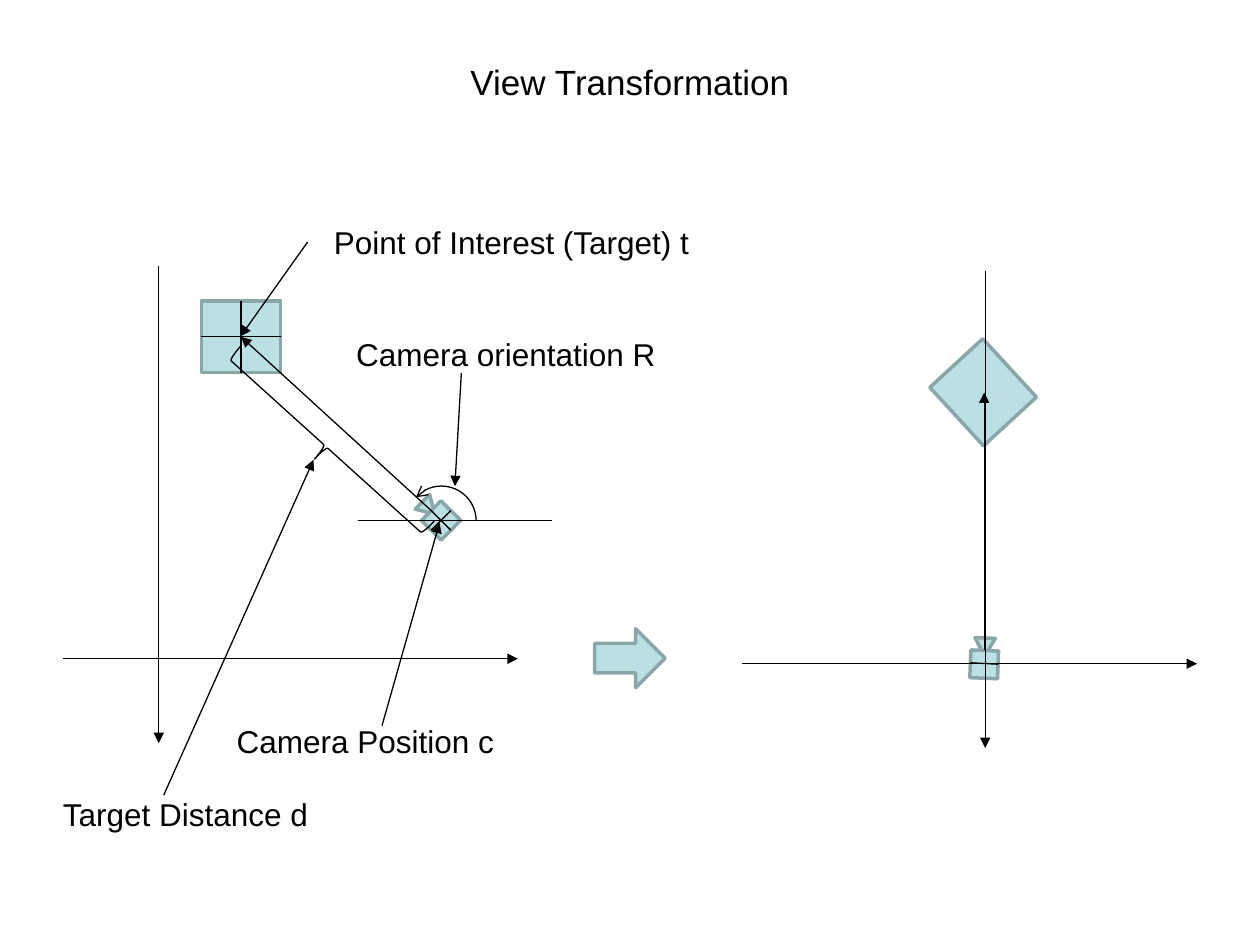
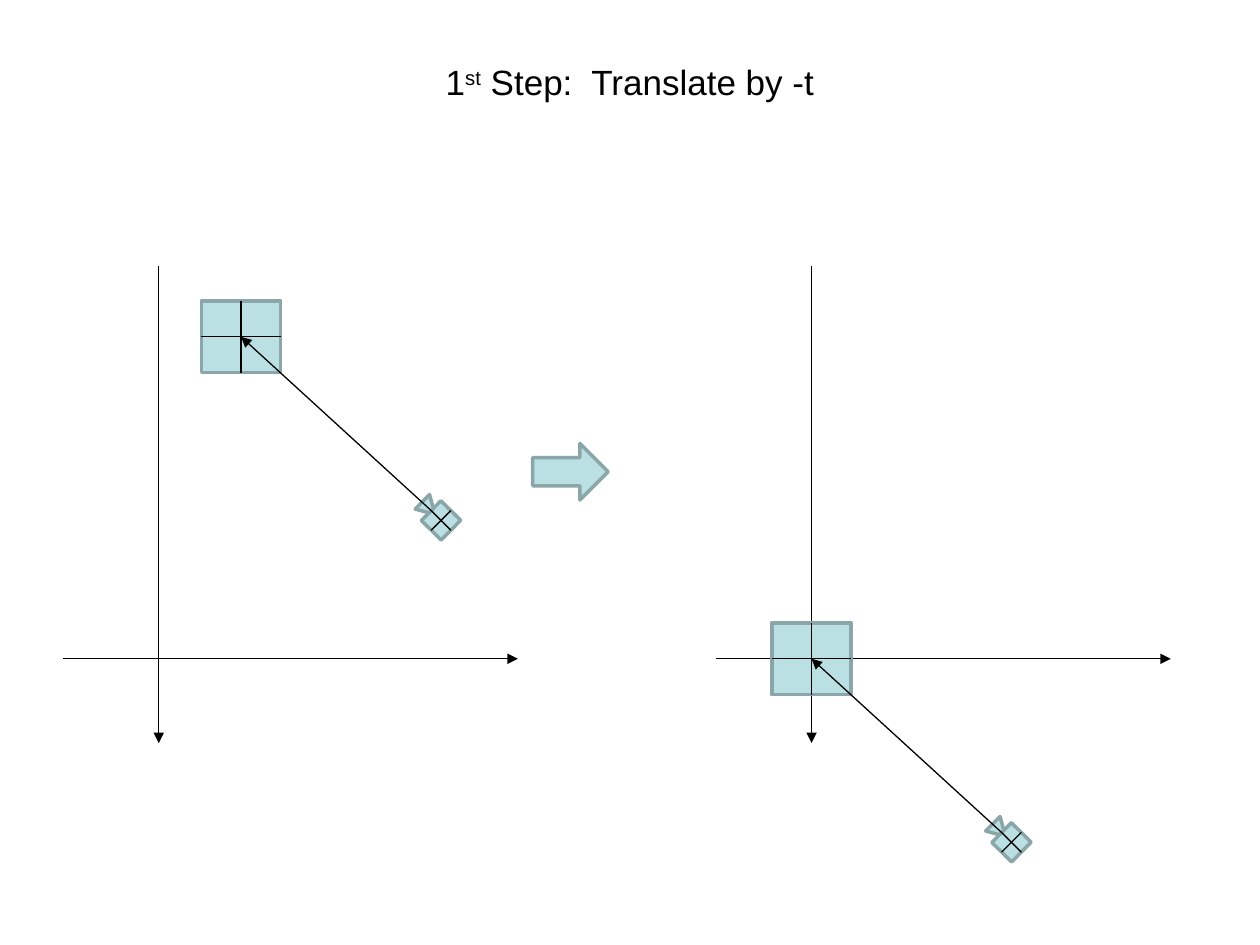
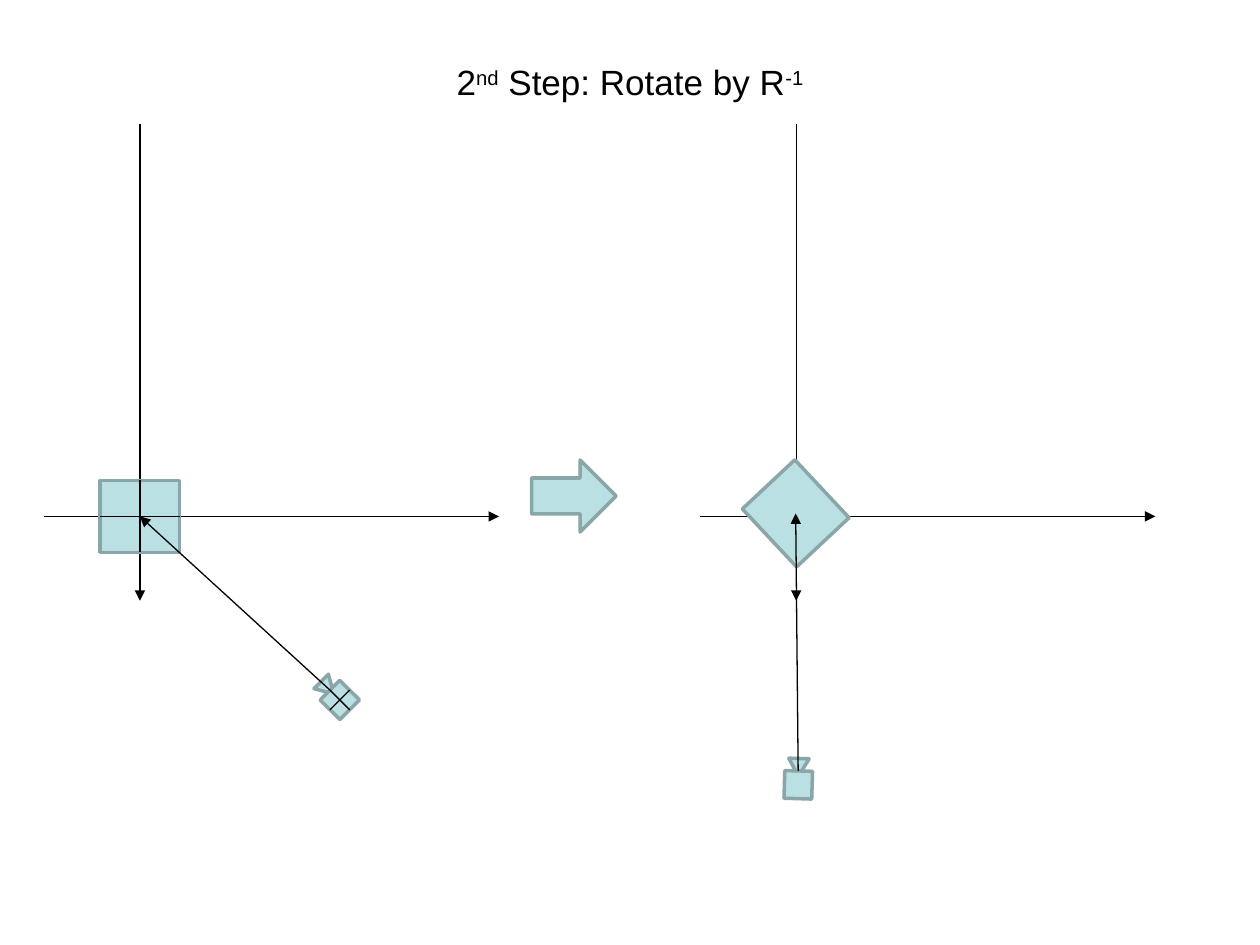
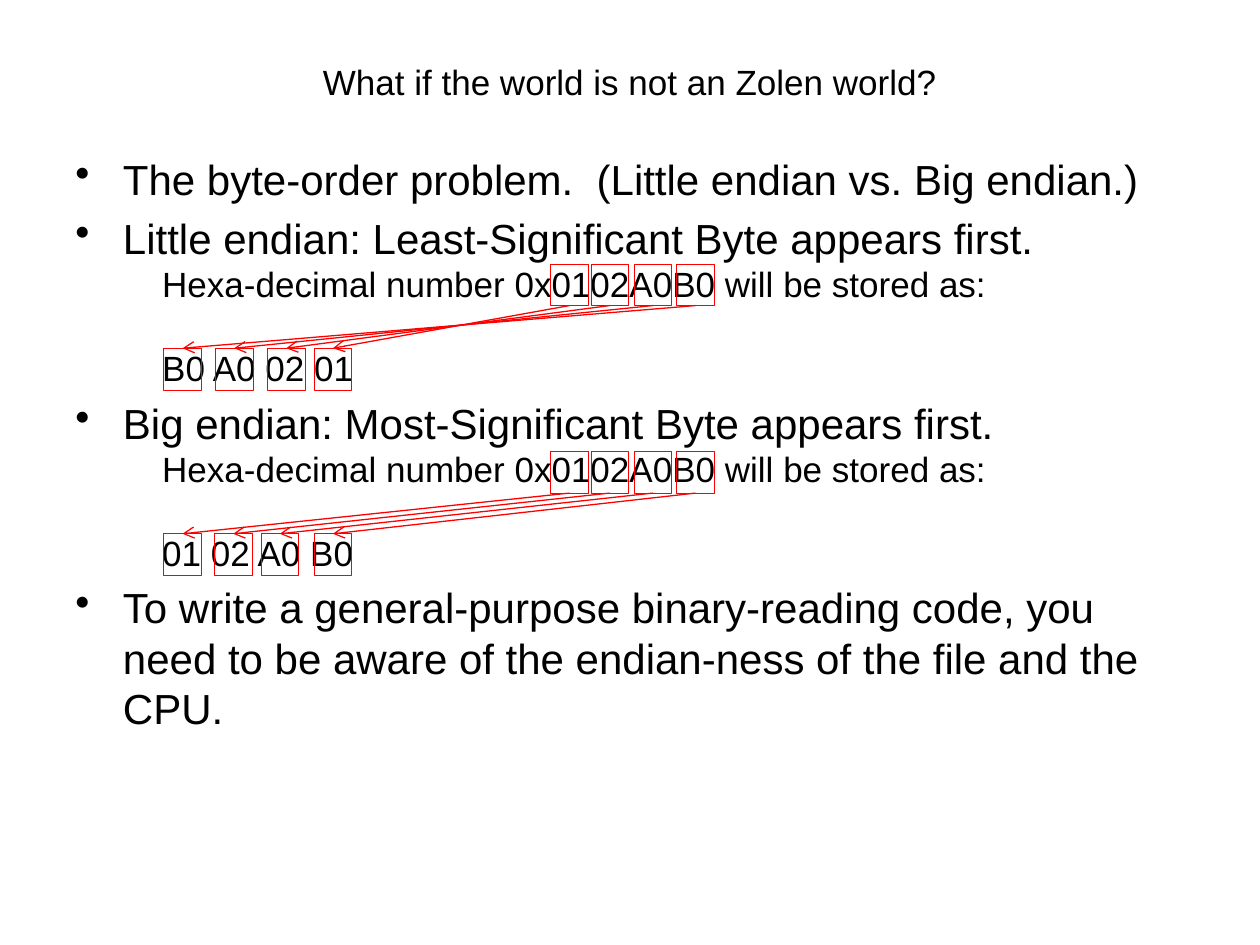
from dataclasses import dataclass
from math import cos, radians, sin

from lxml.etree import SubElement
from pptx import Presentation
from pptx.dml.color import RGBColor
from pptx.enum.shapes import MSO_CONNECTOR, MSO_SHAPE
from pptx.enum.text import MSO_ANCHOR, PP_ALIGN
from pptx.oxml.ns import qn
from pptx.util import Cm, Pt

COLORS = {"text": "000000", "line": "000000", "fill": "BBE0E3", "edge": "8AA6A8", "byte": "FF0000"}
FONT = "Arial"
TARGET_SIZE = (1.6, 1.45)
CAMERA_TILT = 134.8
CONE_DISTANCE = 0.35
AXIS_LEFT, AXIS_WIDTH = 1.93, 9.17
AXIS_UP, AXIS_DOWN = 7.92, 1.7
BYTE_WIDTH, BYTE_HEIGHT = 0.76, 0.84


@dataclass(frozen=True)
class Point:
    x: float
    y: float

    def shift(self, dx: float, dy: float) -> "Point":
        return Point(self.x + dx, self.y + dy)


@dataclass(frozen=True)
class Callout:
    text: str
    corner: Point
    width: float
    start: Point
    end: Point


@dataclass(frozen=True)
class BodyLine:
    text: str
    bullet: bool = True
    before: float = 4.8


@dataclass(frozen=True)
class ByteOrder:
    source_top: float
    stored_top: float
    stored: tuple[float, ...]


CALLOUTS = [
    Callout("Point of Interest (Target) t", Point(6.48, 4.37), 7.75, Point(6.2, 4.88), Point(4.85, 6.78)),
    Callout("Camera Position c", Point(4.52, 14.43), 5.74, Point(7.7, 14.63), Point(8.86, 10.54)),
    Callout("Camera orientation R", Point(6.93, 6.63), 6.6, Point(9.3, 7.52), Point(9.17, 9.8)),
    Callout("Target Distance d", Point(1.02, 15.9), 5.51, Point(3.3, 16.03), Point(6.32, 9.27)),
]

HEX_LINE = BodyLine("Hexa-decimal number 0x0102A0B0 will be stored as:", False, 0)
BODY = [
    BodyLine("The byte-order problem.  (Little endian vs. Big endian.)"),
    BodyLine("Little endian: Least-Significant Byte appears first."),
    HEX_LINE,
    BodyLine("B0 A0 02 01", False, 24),
    BodyLine("Big endian: Most-Significant Byte appears first."),
    HEX_LINE,
    BodyLine("01 02 A0 B0", False, 24),
    BodyLine("To write a general-purpose binary-reading code, you need to be aware "
             "of the endian-ness of the file and the CPU."),
]

SOURCE_BYTES = (11.48, 12.29, 13.16, 14.02)
BYTE_ORDERS = [
    ByteOrder(5.32, 7.02, (6.71, 5.77, 4.72, 3.68)),
    ByteOrder(9.1, 10.76, (3.68, 4.7, 5.64, 6.71)),
]


def rgb(name: str) -> RGBColor:
    return RGBColor.from_string(COLORS[name])


def format_run(r, size: float) -> None:
    r.font.name = FONT
    r.font.size = Pt(size)
    r.font.color.rgb = rgb("text")


def add_arrowheads(sp, head: str, tail: str) -> None:
    ln = sp.element.spPr.find(qn("a:ln"))
    for tag, kind in (("a:headEnd", head), ("a:tailEnd", tail)):
        if kind:
            SubElement(ln, qn(tag)).set("type", kind)


def add_line(shapes, start: Point, end: Point, head: str = "", tail: str = "", color: str = "line") -> None:
    line = shapes.add_connector(MSO_CONNECTOR.STRAIGHT, Cm(start.x), Cm(start.y), Cm(end.x), Cm(end.y))
    line.line.color.rgb = rgb(color)
    line.line.width = Pt(0.75)
    add_arrowheads(line, head, tail)
    SubElement(line.element.spPr, qn("a:effectLst"))


def add_figure(shapes, kind, center: Point, width: float, height: float, rotation: float = 0,
               fill: str = "fill", edge: str = "edge", weight: float = 2):
    sp = shapes.add_shape(kind, Cm(center.x - width / 2), Cm(center.y - height / 2), Cm(width), Cm(height))
    sp.rotation = rotation
    sp.shadow.inherit = False
    if fill:
        sp.fill.solid()
        sp.fill.fore_color.rgb = rgb(fill)
    else:
        sp.fill.background()
    sp.line.color.rgb = rgb(edge)
    sp.line.width = Pt(weight)
    return sp


def add_title(prs, parts: list[str]):
    slide = prs.slides.add_slide(prs.slide_layouts[6])
    box = slide.shapes.add_textbox(Cm(1.27), Cm(0.76), Cm(22.86), Cm(1.78))
    tf = box.text_frame
    tf.word_wrap = True
    tf.vertical_anchor = MSO_ANCHOR.MIDDLE
    p = tf.paragraphs[0]
    p.alignment = PP_ALIGN.CENTER
    for i, part in enumerate(parts):
        r = p.add_run()
        r.text = part
        format_run(r, 20)
        if i % 2:
            r.font._element.set("baseline", "30000")
    return slide


def add_axes(shapes, origin: Point, left: float = AXIS_LEFT) -> None:
    start = origin.shift(-left, 0)
    add_line(shapes, start, start.shift(AXIS_WIDTH, 0), tail="triangle")
    add_line(shapes, origin.shift(0, AXIS_DOWN), origin.shift(0, -AXIS_UP), head="triangle")


def add_target(shapes, center: Point, rotation: float = 0) -> None:
    add_figure(shapes, MSO_SHAPE.RECTANGLE, center, *TARGET_SIZE, rotation)


def add_camera(shapes, center: Point, rotation: float) -> None:
    angle = radians(rotation)
    cone = center.shift(-CONE_DISTANCE * sin(angle), CONE_DISTANCE * cos(angle))
    camera = shapes.add_group_shape().shapes
    add_figure(camera, MSO_SHAPE.ISOSCELES_TRIANGLE, cone, 0.41, 0.36, rotation)
    add_figure(camera, MSO_SHAPE.RECTANGLE, center, 0.56, 0.56, rotation)


def add_world_view(shapes, origin: Point, target: Point) -> None:
    add_axes(shapes, origin)
    add_target(shapes, target)
    camera = target.shift(4.03, 3.7)
    add_camera(shapes, camera, CAMERA_TILT)
    half_width, half_height = (size / 2 for size in TARGET_SIZE)
    add_line(shapes, target.shift(-half_width, 0), target.shift(half_width, 0))
    add_line(shapes, target.shift(0, -half_height), target.shift(0, half_height))
    for side in (-1, 1):
        add_line(shapes, camera.shift(-0.2, 0.2 * side), camera.shift(0.2, -0.2 * side))
    add_line(shapes, camera.shift(-0.2, -0.2), target, tail="triangle")


def add_step_arrow(shapes, center: Point, width: float, height: float) -> None:
    add_figure(shapes, MSO_SHAPE.RIGHT_ARROW, center, width, height)


def add_callout(shapes, callout: Callout) -> None:
    add_line(shapes, callout.start, callout.end, tail="triangle")
    box = shapes.add_textbox(Cm(callout.corner.x), Cm(callout.corner.y), Cm(callout.width), Cm(1.02))
    tf = box.text_frame
    tf.word_wrap = False
    tf.text = callout.text
    format_run(tf.paragraphs[0].runs[0], 18)


def add_body(shapes) -> None:
    box = shapes.add_textbox(Cm(1.27), Cm(2.97), Cm(22.86), Cm(14.05))
    tf = box.text_frame
    tf.word_wrap = True
    for i, line in enumerate(BODY):
        p = tf.add_paragraph() if i else tf.paragraphs[0]
        p.text = line.text
        p.space_before = Pt(line.before)
        format_run(p.runs[0], 24 if line.bullet else 20)
        pPr = p._p.get_or_add_pPr()
        pPr.set("marL", str(Cm(0.96 if line.bullet else 1.75)))
        pPr.set("indent", str(Cm(-0.96 if line.bullet else 0)))
        if line.bullet:
            SubElement(pPr, qn("a:buChar")).set("char", "•")


def add_byte_order(shapes, order: ByteOrder) -> None:
    for top, centers in ((order.source_top, SOURCE_BYTES), (order.stored_top, order.stored)):
        for x in centers:
            add_figure(shapes, MSO_SHAPE.RECTANGLE, Point(x, top + BYTE_HEIGHT / 2),
                       BYTE_WIDTH, BYTE_HEIGHT, fill="", edge="byte", weight=0.25)
    for source, stored in zip(SOURCE_BYTES, order.stored):
        add_line(shapes, Point(source, order.source_top + BYTE_HEIGHT), Point(stored, order.stored_top),
                 tail="arrow", color="byte")


def build_overview(prs) -> None:
    shapes = add_title(prs, ["View Transformation"]).shapes
    add_world_view(shapes, Point(3.2, 13.28), Point(4.86, 6.79))
    add_line(shapes, Point(7.21, 10.49), Point(11.13, 10.49))
    arc = add_figure(shapes, MSO_SHAPE.ARC, Point(8.9, 10.5), 1.4, 1.4, fill="", edge="line", weight=0.75)
    arc.adjustments[0] = 133.47
    arc.adjustments[1] = 0
    add_arrowheads(arc, "arrow", "")
    add_figure(shapes, MSO_SHAPE.LEFT_BRACE, Point(6.57, 9), 0.69, 5.26, 312.1,
               fill="", edge="line", weight=0.75)
    for callout in CALLOUTS:
        add_callout(shapes, callout)
    target, camera = Point(19.82, 7.91), Point(19.84, 13.39)
    add_target(shapes, target, 47.4)
    add_camera(shapes, camera, 182.2)
    add_line(shapes, camera.shift(-0.28, -0.03), camera.shift(0.28, 0))
    add_line(shapes, camera.shift(0, -0.28), Point(camera.x, target.y), tail="triangle")
    add_axes(shapes, Point(19.86, 13.38), 4.9)
    add_step_arrow(shapes, Point(12.7, 13.27), 1.42, 1.19)


def build_translation(prs) -> None:
    shapes = add_title(prs, ["1", "st", " Step:  Translate by -t"]).shapes
    add_world_view(shapes, Point(3.2, 13.28), Point(4.86, 6.79))
    add_step_arrow(shapes, Point(11.5, 9.51), 1.52, 1.14)
    origin = Point(16.36, 13.28)
    add_world_view(shapes, origin, origin)


def build_rotation(prs) -> None:
    shapes = add_title(prs, ["2", "nd", " Step: Rotate by R", "-1"]).shapes
    origin = Point(2.82, 10.41)
    add_world_view(shapes, origin, origin)
    add_step_arrow(shapes, Point(11.57, 10), 1.7, 1.45)
    add_axes(shapes, Point(16.05, 10.41))
    target, camera = Point(16.04, 10.35), Point(16.09, 15.82)
    add_target(shapes, target, 46.9)
    add_camera(shapes, camera, 181.7)
    add_line(shapes, camera.shift(0, -0.28), target, tail="triangle")


def build_byte_order(prs) -> None:
    shapes = add_title(prs, ["What if the world is not an Zolen world?"]).shapes
    add_body(shapes)
    for order in BYTE_ORDERS:
        add_byte_order(shapes, order)


def main() -> None:
    prs = Presentation()
    prs.slide_width, prs.slide_height = Cm(25.4), Cm(19.05)
    build_overview(prs)
    build_translation(prs)
    build_rotation(prs)
    build_byte_order(prs)
    prs.save("out.pptx")


if __name__ == "__main__":
    main()
